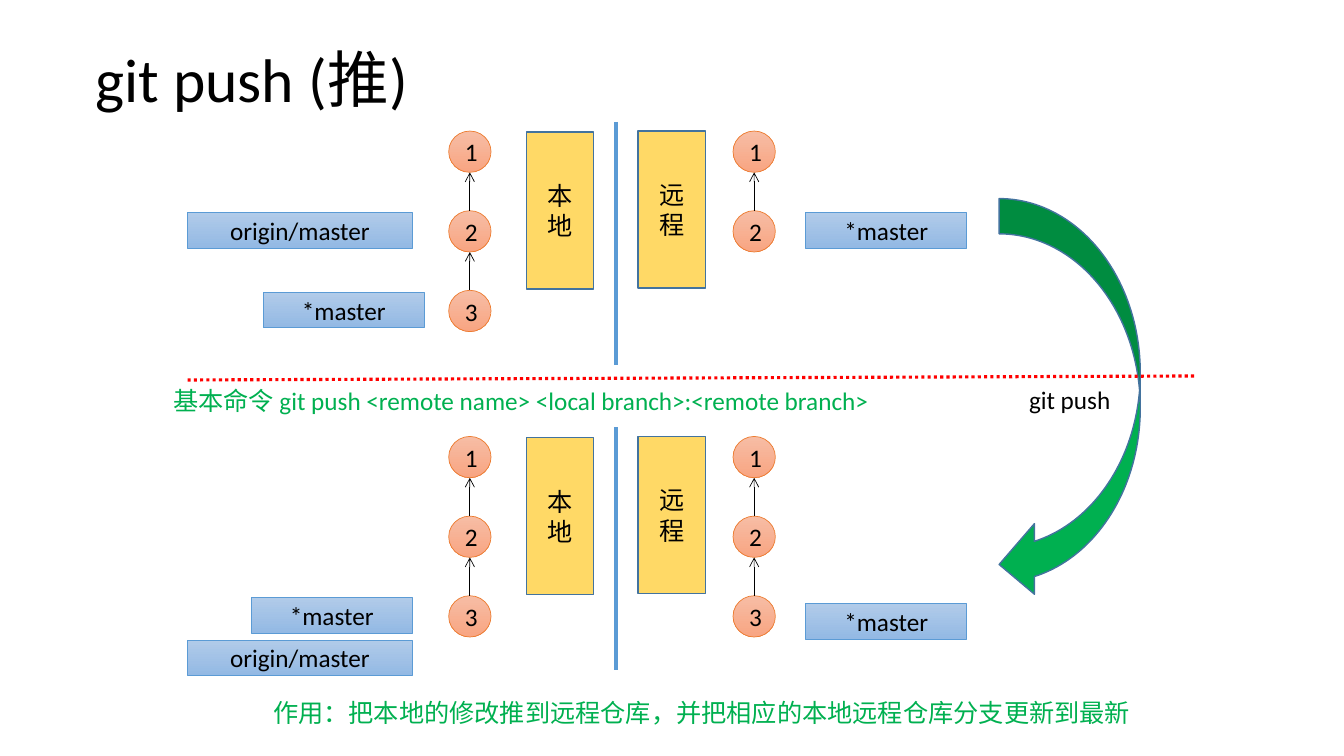
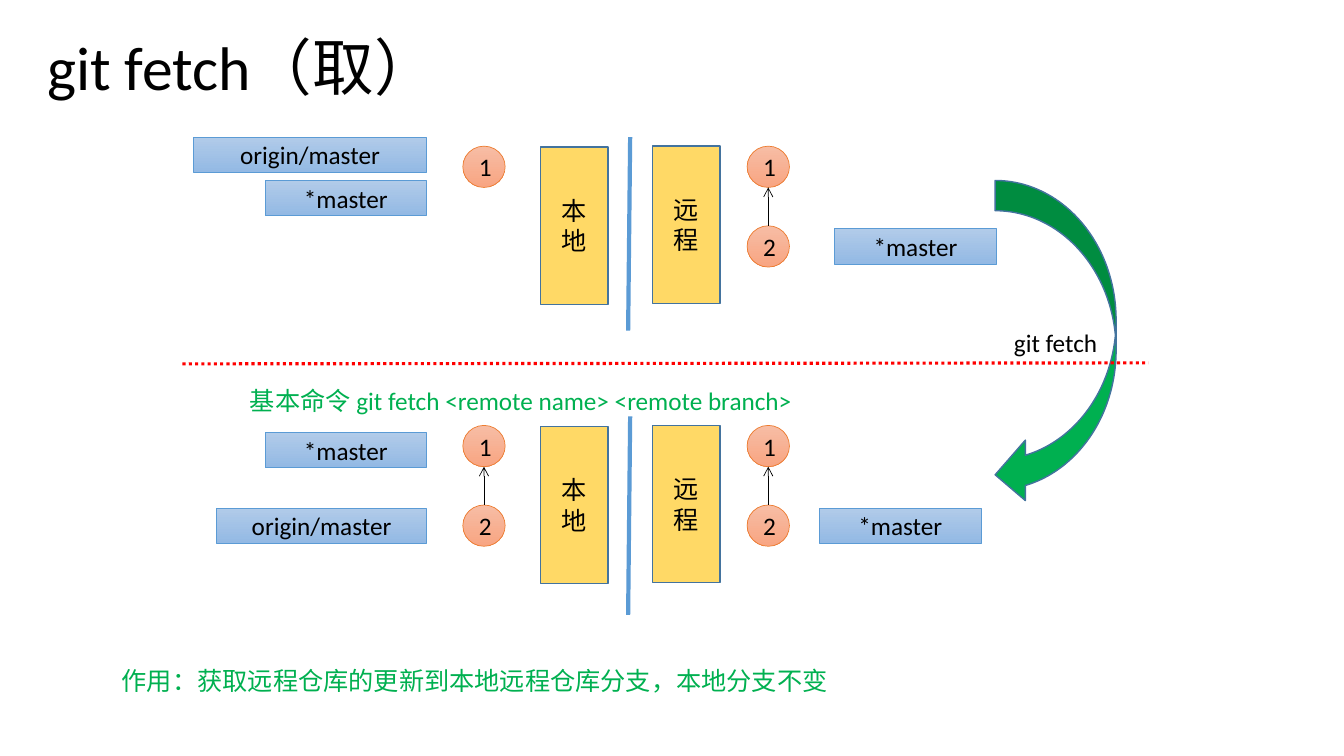
from pptx import Presentation
from pptx.dml.color import RGBColor
from pptx.enum import dml, shapes, text
from pptx.oxml import ns
from pptx.util import Inches, Pt
from lxml import etree

COLOURS = {
    "black": "000000", "green": "00B050", "red": "FF0000",
    "blue": "5B9BD5", "navy": "43739E", "orange": "ED7D31", "yellow": "FFD966",
    "label top": "B1CBE9", "label bottom": "93B9E4",
    "commit top": "F7BDA5", "commit bottom": "F8A582",
}
FONT = "Calibri"
COMMIT_WIDTH, COMMIT_HEIGHT, COMMIT_STEP = 0.42, 0.41, 0.79
LABEL_HEIGHT = 0.35
# Horizontal offsets from the local column of commits
LOCAL_BOX, DIVIDER, REMOTE_BOX, REMOTE_COMMITS = 0.77, 1.66, 1.88, 2.82


def colour(name):
    """Return the named colour."""
    return RGBColor.from_string(COLOURS[name])


def write(shape, words, size=18, ink="black", align=text.PP_ALIGN.CENTER,
          anchor=text.MSO_ANCHOR.MIDDLE):
    """Put one styled paragraph into a shape and return the paragraph."""
    frame = shape.text_frame
    frame.word_wrap = True
    frame.vertical_anchor = anchor
    paragraph = frame.paragraphs[0]
    paragraph.text = words
    paragraph.alignment = align
    paragraph.font.name = FONT
    paragraph.font.size = Pt(size)
    paragraph.font.color.rgb = colour(ink)
    return paragraph


def add_title(slide, words, left, top, width, height):
    """Add the large slide title."""
    title = slide.shapes.add_textbox(*map(Inches, (left, top, width, height)))
    paragraph = write(title, words, size=44, align=text.PP_ALIGN.LEFT)
    paragraph.line_spacing = 0.9


def add_note(slide, words, left, top, width, align=text.PP_ALIGN.LEFT):
    """Add a line of green explanatory text."""
    note = slide.shapes.add_textbox(*map(Inches, (left, top, width, 0.4)))
    write(note, words, ink="green", align=align, anchor=text.MSO_ANCHOR.TOP)
    note.text_frame.auto_size = text.MSO_AUTO_SIZE.SHAPE_TO_FIT_TEXT


def add_box(parent, kind, words, bounds, fill, outline, weight):
    """Add a preset shape; a pair of fill names makes a vertical gradient."""
    shape = parent.shapes.add_shape(kind, *map(Inches, bounds))
    shape.shadow.inherit = False
    if isinstance(fill, tuple):
        shape.fill.gradient()
        shape.fill.gradient_angle = 270
        for stop, name, position in zip(shape.fill.gradient_stops, fill, (0, 1)):
            stop.color.rgb = colour(name)
            stop.position = position
    else:
        shape.fill.solid()
        shape.fill.fore_color.rgb = colour(fill)
    shape.line.color.rgb = colour(outline)
    shape.line.width = Pt(weight)
    write(shape, words)


def add_line(parent, start, end, ink, weight, dash=None, arrow=False):
    """Add a straight line, optionally dashed or with an arrowhead."""
    line = parent.shapes.add_connector(
        shapes.MSO_CONNECTOR.STRAIGHT, *map(Inches, (*start, *end)))
    line.line.color.rgb = colour(ink)
    line.line.width = Pt(weight)
    if dash:
        line.line.dash_style = dash
    properties = line.element.spPr
    if arrow:
        outline = properties.find(ns.qn("a:ln"))
        etree.SubElement(outline, ns.qn("a:tailEnd"), type="arrow")
    etree.SubElement(properties, ns.qn("a:effectLst"))


def add_commits(parent, left, top, count):
    """Add a numbered column of commits, each pointing to its parent."""
    middle = left + COMMIT_WIDTH / 2
    for index in range(count):
        y = top + index * COMMIT_STEP
        add_box(parent, shapes.MSO_SHAPE.OVAL, str(index + 1),
                (left, y, COMMIT_WIDTH, COMMIT_HEIGHT),
                ("commit top", "commit bottom"), "orange", 0.5)
        if index:
            add_line(parent, (middle, y),
                     (middle, y - COMMIT_STEP + COMMIT_HEIGHT),
                     "black", 0.5, arrow=True)


def add_state(slide, left, top, commits, labels, divider_length, slant=0):
    """Add the local and remote repositories at one moment as a group."""
    group = slide.shapes.add_group_shape()
    divider_x, divider_y = left + DIVIDER, top - 0.09
    add_line(group, (divider_x, divider_y),
             (divider_x - slant, divider_y + divider_length), "blue", 3)
    local_count, remote_count = commits
    add_commits(group, left, top, local_count)
    add_commits(group, left + REMOTE_COMMITS, top, remote_count)
    for words, x, y in (("本地", LOCAL_BOX, 0.01), ("远程", REMOTE_BOX, 0)):
        add_box(group, shapes.MSO_SHAPE.RECTANGLE, words,
                (left + x, top + y, 0.67, 1.56), "yellow", "navy", 1)
    for words, x, y, width in labels:
        add_box(group, shapes.MSO_SHAPE.RECTANGLE, words,
                (x, y, width, LABEL_HEIGHT),
                ("label top", "label bottom"), "blue", 0.5)


def add_command(slide, words, bounds, start, end):
    """Add the curved command arrow and the dotted line between the states."""
    add_box(slide, shapes.MSO_SHAPE.CURVED_LEFT_ARROW, words, bounds,
            "green", "navy", 1)
    add_line(slide, start, end, "red", 2.25, dash=dml.MSO_LINE.ROUND_DOT)


def add_push(slide):
    """Build the push slide."""
    add_title(slide, "git push (推)", 0.85, 0.3, 11.26, 1.03)
    add_state(slide, 4.45, 1.3, (3, 2), [
        ("origin/master", 1.86, 2.11, 2.23),
        ("*master", 2.61, 2.9, 1.6),
        ("*master", 7.99, 2.11, 1.6)], 2.41)
    add_state(slide, 4.45, 4.33, (3, 3), [
        ("*master", 2.49, 5.93, 1.6),
        ("origin/master", 1.86, 6.35, 2.23),
        ("*master", 7.99, 5.99, 1.6)], 2.41)
    add_command(slide, "git push", (9.91, 1.97, 1.4, 3.98),
                (1.86, 3.77), (11.85, 3.73))
    add_note(slide, "基本命令 git push <remote name> <local branch>:<remote branch>",
             0.42, 3.77, 9.49, text.PP_ALIGN.CENTER)
    add_note(slide, "作用：把本地的修改推到远程仓库，并把相应的本地远程仓库分支更新到最新",
             2.61, 6.87, 8.96)


def add_fetch(slide):
    """Build the fetch slide."""
    add_title(slide, "git fetch（取）", 0.37, 0.17, 11.5, 1.07)
    add_state(slide, 4.59, 1.45, (1, 2), [
        ("origin/master", 1.92, 1.36, 2.31),
        ("*master", 2.63, 1.79, 1.6),
        ("*master", 8.28, 2.27, 1.6)], 1.92, slant=0.02)
    add_state(slide, 4.59, 4.22, (2, 2), [
        ("*master", 2.63, 4.29, 1.6),
        ("origin/master", 2.15, 5.04, 2.08),
        ("*master", 8.13, 5.04, 1.6)], 1.97, slant=0.02)
    add_command(slide, "git fetch", (9.87, 1.79, 1.2, 3.22),
                (1.81, 3.61), (11.39, 3.6))
    add_note(slide, "基本命令 git fetch <remote name> <remote branch>",
             0.42, 3.77, 9.49, text.PP_ALIGN.CENTER)
    add_note(slide, "作用：获取远程仓库的更新到本地远程仓库分支，本地分支不变",
             1.11, 6.55, 10.43)


def main():
    """Build and save the presentation."""
    presentation = Presentation()
    presentation.slide_width = Inches(13.33)
    presentation.slide_height = Inches(7.5)
    blank = presentation.slide_layouts[6]
    for build in (add_push, add_fetch):
        build(presentation.slides.add_slide(blank))
    presentation.save("out.pptx")


main()
